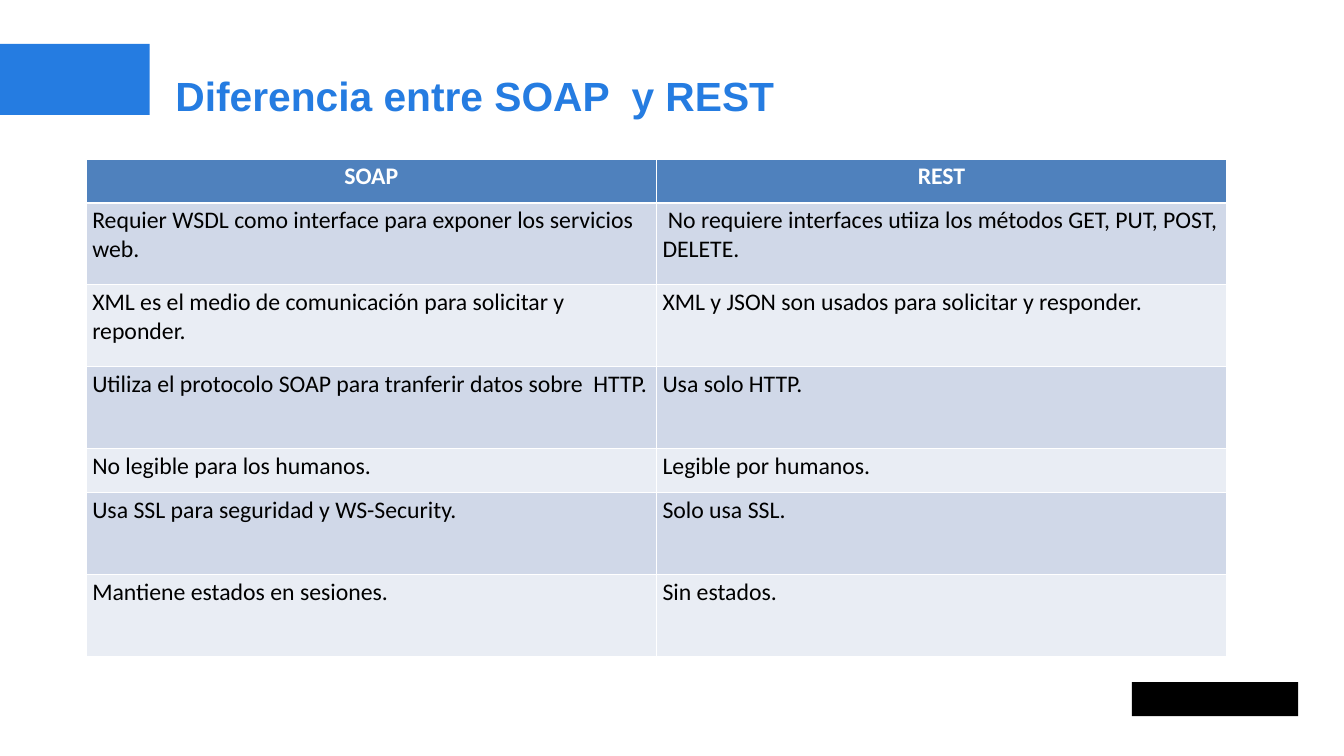
"""Build a slide with a table that compares SOAP and REST."""
from dataclasses import dataclass

from lxml.etree import SubElement
from pptx import Presentation
from pptx.dml.color import RGBColor
from pptx.enum.shapes import MSO_SHAPE as Shape
from pptx.enum.text import MSO_ANCHOR as Anchor, MSO_AUTO_SIZE as AutoSize, PP_ALIGN as Align
from pptx.oxml.ns import qn
from pptx.slide import Slide
from pptx.table import _Cell as Cell
from pptx.util import Inches, Pt

BLUE = RGBColor(0x25, 0x7C, 0xE1)
HEADER_BLUE = RGBColor(0x4F, 0x81, 0xBD)
DARK_BAND = RGBColor(0xD0, 0xD8, 0xE8)
LIGHT_BAND = RGBColor(0xE9, 0xED, 0xF4)
WHITE = RGBColor(0xFF, 0xFF, 0xFF)
BLACK = RGBColor(0x00, 0x00, 0x00)

SHORT, TALL = 0.72, 1.34
COLUMN_WIDTH = 9.33
TABLE_LEFT, TABLE_TOP = 1.41, 2.6


@dataclass(frozen=True)
class Block:
    left: float
    top: float
    width: float
    height: float
    color: RGBColor


@dataclass(frozen=True)
class Comparison:
    soap: str
    rest: str
    height: float = TALL


BLOCKS = [
    Block(0, 0.72, 2.45, 1.16, BLUE),
    Block(18.52, 11.16, 2.72, 0.56, BLACK),
]

COMPARISONS = [
    Comparison("SOAP", "REST", SHORT),
    Comparison("Requier WSDL como interface para exponer los servicios web.",
               " No requiere interfaces utiiza los métodos GET, PUT, POST, DELETE."),
    Comparison("XML es el medio de comunicación para solicitar y reponder.",
               "XML y JSON son usados para solicitar y responder."),
    Comparison("Utiliza el protocolo SOAP para tranferir datos sobre  HTTP.", "Usa solo HTTP."),
    Comparison("No legible para los humanos.", "Legible por humanos.", SHORT),
    Comparison("Usa SSL para seguridad y WS-Security.", "Solo usa SSL."),
    Comparison("Mantiene estados en sesiones.", "Sin estados."),
]


def add_block(slide: Slide, block: Block) -> None:
    shape = slide.shapes.add_shape(Shape.RECTANGLE, Inches(block.left), Inches(block.top),
                                   Inches(block.width), Inches(block.height))
    shape.shadow.inherit = False
    shape.fill.solid()
    shape.fill.fore_color.rgb = block.color
    shape.line.fill.background()


def set_title(slide: Slide, text: str) -> None:
    title = slide.shapes.title
    title.left, title.top = Inches(2.77), Inches(1.1)
    title.width, title.height = Inches(10.12), Inches(0.91)
    frame = title.text_frame
    frame.text = text
    frame.word_wrap = False
    frame.auto_size = AutoSize.NONE
    frame.vertical_anchor = Anchor.TOP
    paragraph = frame.paragraphs[0]
    paragraph.alignment = Align.LEFT
    font = paragraph.font
    font.name, font.size, font.bold = "Arial", Pt(48), True
    font.color.rgb = BLUE


def set_borders(cell: Cell, top: float, bottom: float) -> None:
    properties = cell._tc.get_or_add_tcPr()
    for side, width in {"L": 1, "R": 1, "T": top, "B": bottom}.items():
        line = SubElement(properties, qn(f"a:ln{side}"), w=str(Pt(width)))
        fill = SubElement(line, qn("a:solidFill"))
        SubElement(fill, qn("a:srgbClr"), val=str(WHITE))


def fill_cell(cell: Cell, text: str, row: int) -> None:
    is_header = row == 0
    set_borders(cell, top=3 if row == 1 else 1, bottom=3 if is_header else 1)
    cell.fill.solid()
    band = DARK_BAND if row % 2 else LIGHT_BAND
    cell.fill.fore_color.rgb = HEADER_BLUE if is_header else band
    cell.text = text
    paragraph = cell.text_frame.paragraphs[0]
    paragraph.alignment = Align.CENTER if is_header else Align.LEFT
    font = paragraph.font
    font.name, font.size, font.bold = "Calibri", Pt(28), is_header
    font.color.rgb = WHITE if is_header else BLACK


def add_comparison_table(slide: Slide, comparisons: list[Comparison]) -> None:
    height = sum(comparison.height for comparison in comparisons)
    table = slide.shapes.add_table(len(comparisons), 2, Inches(TABLE_LEFT), Inches(TABLE_TOP),
                                   Inches(2 * COLUMN_WIDTH), Inches(height)).table
    for column in table.columns:
        column.width = Inches(COLUMN_WIDTH)
    for row, comparison in enumerate(comparisons):
        table.rows[row].height = Inches(comparison.height)
        for column, text in enumerate((comparison.soap, comparison.rest)):
            fill_cell(table.cell(row, column), text, row)


def main() -> None:
    presentation = Presentation()
    presentation.slide_width, presentation.slide_height = Inches(21.99), Inches(12.37)
    slide = presentation.slides.add_slide(presentation.slide_layouts[5])
    for block in BLOCKS:
        add_block(slide, block)
    set_title(slide, "Diferencia entre SOAP  y REST")
    add_comparison_table(slide, COMPARISONS)
    presentation.save("out.pptx")


if __name__ == "__main__":
    main()
